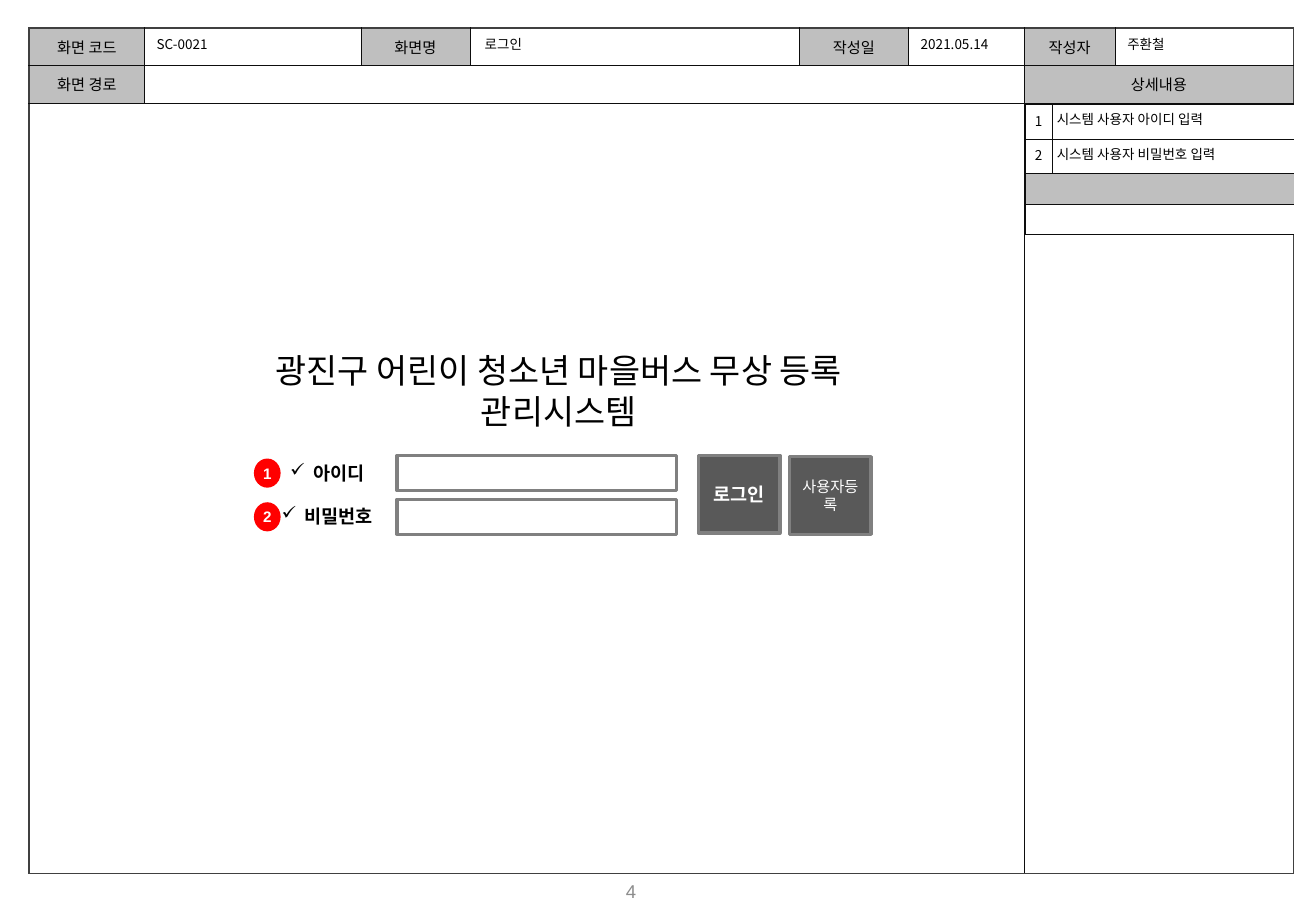
"""Build the login screen specification slide."""
from dataclasses import dataclass
from typing import NamedTuple

from lxml.etree import SubElement
from pptx import Presentation
from pptx.dml.color import RGBColor
from pptx.enum.shapes import MSO_SHAPE
from pptx.enum.text import MSO_ANCHOR, MSO_AUTO_SIZE, PP_ALIGN
from pptx.oxml.ns import qn
from pptx.util import Inches, Pt


@dataclass(frozen=True)
class Theme:
    face: str = "Noto Sans CJK KR"
    plain: str = "Arial"
    ink: str = "000000"
    white: str = "FFFFFF"
    head: str = "BFBFBF"
    rule: str = "0D0D0D"
    frame: str = "404040"
    edge: str = "808080"
    dark: str = "595959"
    red: str = "FF0000"
    faint: str = "8C8C8C"
    title: int = 20
    large: int = 11
    mid: int = 9
    small: int = 8
    thin: float = 0.25
    bold: float = 1
    thick: float = 2


class Box(NamedTuple):
    left: float
    top: float
    wide: float
    high: float


class Cell(NamedTuple):
    row: int
    col: int
    text: str = ""
    fill: str = ""
    span: int = 1


class Field(NamedTuple):
    label: str
    mark: str
    top: float


class Button(NamedTuple):
    text: str
    left: float
    top: float
    size: int
    bold: bool


look = Theme()
deck = Presentation()
deck.slide_width, deck.slide_height = Inches(10.83), Inches(7.5)
COLS, ROWS = 130, 90
MID, LEFT = PP_ALIGN.CENTER, PP_ALIGN.LEFT


def across(cols: float) -> int:
    return round(deck.slide_width * cols / COLS)


def down(rows: float) -> int:
    return round(deck.slide_height * rows / ROWS)


def place(box: Box) -> tuple:
    return across(box.left), down(box.top), across(box.wide), down(box.high)


def paint(text, size: int, color: str = look.ink, face: str = look.face, bold: bool = False) -> None:
    font = text.font
    font.size, font.bold, font.name = Pt(size), bold, face
    font.color.rgb = RGBColor.from_string(color)
    SubElement(font._element, qn("a:ea")).set("typeface", face)


def write(frame, text: str, *, size: int = look.small, align=LEFT, anchor=MSO_ANCHOR.TOP,
          pad: tuple = (1.2, 0.6), wrap: bool = True, bullet: str = "", **style) -> None:
    frame.word_wrap, frame.auto_size = wrap, MSO_AUTO_SIZE.NONE
    frame.vertical_anchor = anchor
    frame.margin_left = frame.margin_right = across(pad[0])
    frame.margin_top = frame.margin_bottom = down(pad[1])
    line = frame.paragraphs[0]
    line.alignment = align
    if bullet:
        props, hang = line._p.get_or_add_pPr(), across(2.28)
        props.set("marL", str(hang))
        props.set("indent", str(-hang))
        SubElement(props, qn("a:buChar")).set("char", bullet)
    run = line.add_run()
    run.text = text
    paint(run, size, **style)


def label(box: Box, text: str, **style) -> None:
    write(page.shapes.add_textbox(*place(box)).text_frame, text, **style)


def draw(kind, box: Box, fill: str = "", line: str = ""):
    shape = page.shapes.add_shape(kind, *place(box))
    shape.shadow.inherit = False
    if fill:
        shape.fill.solid()
        shape.fill.fore_color.rgb = RGBColor.from_string(fill)
    else:
        shape.fill.background()
    if line:
        shape.line.color.rgb = RGBColor.from_string(line)
        shape.line.width = Pt(look.thick)
    else:
        shape.line.fill.background()
    return shape


def border(cell, sides: dict) -> None:
    props = cell._tc.get_or_add_tcPr()
    for spot, (side, (color, width)) in enumerate(sides.items()):
        line = SubElement(props, qn("a:ln" + side))
        line.set("w", str(Pt(width)))
        if color:
            SubElement(SubElement(line, qn("a:solidFill")), qn("a:srgbClr")).set("val", color)
        else:
            SubElement(line, qn("a:noFill"))
        props.insert(spot, line)


def table(left: float, top: float, wides: list, highs: list, cells: list, outer: dict, style) -> None:
    box = Box(left, top, sum(wides), sum(highs))
    grid = page.shapes.add_table(len(highs), len(wides), *place(box)).table
    grid.first_row = grid.horz_banding = False
    grid._tbl.tblPr.find(qn("a:tableStyleId")).text = "{2D5ABB26-0587-4C30-8999-92F81FD0307C}"
    for col, wide in zip(grid.columns, wides):
        col.width = across(wide)
    for row, high in zip(grid.rows, highs):
        row.height = down(high)
    for item in cells:
        cell, last = grid.cell(item.row, item.col), item.col + item.span - 1
        if item.span > 1:
            cell.merge(grid.cell(item.row, last))
        if item.fill:
            cell.fill.solid()
            cell.fill.fore_color.rgb = RGBColor.from_string(item.fill)
        else:
            cell.fill.background()
        ends = {"L": item.col == 0, "R": last == len(wides) - 1,
                "T": item.row == 0, "B": item.row == len(highs) - 1}
        inner = (look.rule, look.thin)
        border(cell, {side: outer.get(side, inner) if end else inner for side, end in ends.items()})
        style(cell, item)


def center(cell, item: Cell) -> None:
    fit(cell, item.text, look.mid, MID, (0.96, 0.48))
    cell.vertical_anchor = MSO_ANCHOR.MIDDLE


def detail(cell, item: Cell) -> None:
    first = item.col == 0
    fit(cell, item.text, look.small, MID if first else LEFT, (0, 0.6) if first else (0.48, 0.48))


def fit(cell, text: str, size: int, align, pad: tuple) -> None:
    cell.margin_left = cell.margin_right = across(pad[0])
    cell.margin_top = cell.margin_bottom = down(pad[1])
    line = cell.text_frame.paragraphs[0]
    line.alignment = align
    if text:
        run = line.add_run()
        run.text = text
        paint(run, size)
    else:
        SubElement(line._p, qn("a:endParaRPr")).set("sz", str(size * 100))


page = deck.slides.add_slide(deck.slide_layouts[5])
heads = ["화면 코드", "화면명", "작성일", "작성자"]
cells = [Cell(0, 2 * spot + step, text if step == 0 else "", look.head if step == 0 else "")
         for spot, text in enumerate(heads) for step in (0, 1)]
cells += [Cell(1, 0, "화면 경로", look.head), Cell(1, 1, span=5),
          Cell(1, 6, "상세내용", look.head, 2), Cell(2, 0, span=6), Cell(2, 6, span=2)]
table(2.88, 2.76, [11.4, 21.36, 10.8, 32.52, 10.8, 11.4, 9, 17.64], [3.72, 3.72, 76.08],
      cells, dict.fromkeys("LRTB", (look.frame, look.bold)), center)
label(Box(47.16, 86.16, 30.36, 3.84), "4", size=look.large, color=look.faint,
      face=look.plain, align=MID, anchor=MSO_ANCHOR.MIDDLE)

title = page.shapes.title
title.left, title.top, title.width, title.height = place(Box(23.04, 33.96, 64.32, 9.24))
write(title.text_frame, "광진구 어린이 청소년 마을버스 무상 등록 관리시스템",
      size=look.title, align=MID, pad=(0.48, 0.6))

fields = [Field("아이디", "1", 45), Field("비밀번호", "2", 49.32)]
for field in fields:
    label(Box(24.36, field.top, 15.96, 3.48), field.label, size=look.large, bold=True,
          align=MID, pad=(0.48, 0.6), bullet="✓")
    draw(MSO_SHAPE.RECTANGLE, Box(39.24, field.top, 27.6, 3.48), line=look.edge)

for item in [Button("로그인", 69, 45, look.large, True), Button("사용자등록", 78, 45.12, look.mid, False)]:
    shape = draw(MSO_SHAPE.RECTANGLE, Box(item.left, item.top, 8.04, 7.68), look.dark, look.edge)
    write(shape.text_frame, item.text, size=item.size, bold=item.bold, color=look.white,
          align=MID, anchor=MSO_ANCHOR.MIDDLE)

for left, wide, text in [(14.28, 21.36, "SC-0021"), (46.68, 32.16, "로그인"),
                         (89.76, 11.4, "2021.05.14"), (110.16, 16.56, "주환철")]:
    label(Box(left, 3, wide, 2.88), text)

notes = [Cell(0, 0, "1", look.white), Cell(0, 1, "시스템 사용자 아이디 입력", look.white),
         Cell(1, 0, "2", look.white), Cell(1, 1, "시스템 사용자 비밀번호 입력", look.white),
         Cell(2, 0, fill=look.head, span=2), Cell(3, 0, fill=look.white, span=2)]
table(101.28, 10.3, [2.64, 23.88], [3.42, 3.42, 3, 3], notes, {"R": ("", 0)}, detail)

for field in fields:
    badge = draw(MSO_SHAPE.FLOWCHART_CONNECTOR, Box(25.08, field.top + 0.3, 2.64, 2.88), look.red)
    write(badge.text_frame, field.mark, size=look.mid, bold=True, color=look.white,
          face=look.plain, align=MID, anchor=MSO_ANCHOR.MIDDLE, pad=(0, 0), wrap=False)

deck.save("out.pptx")
